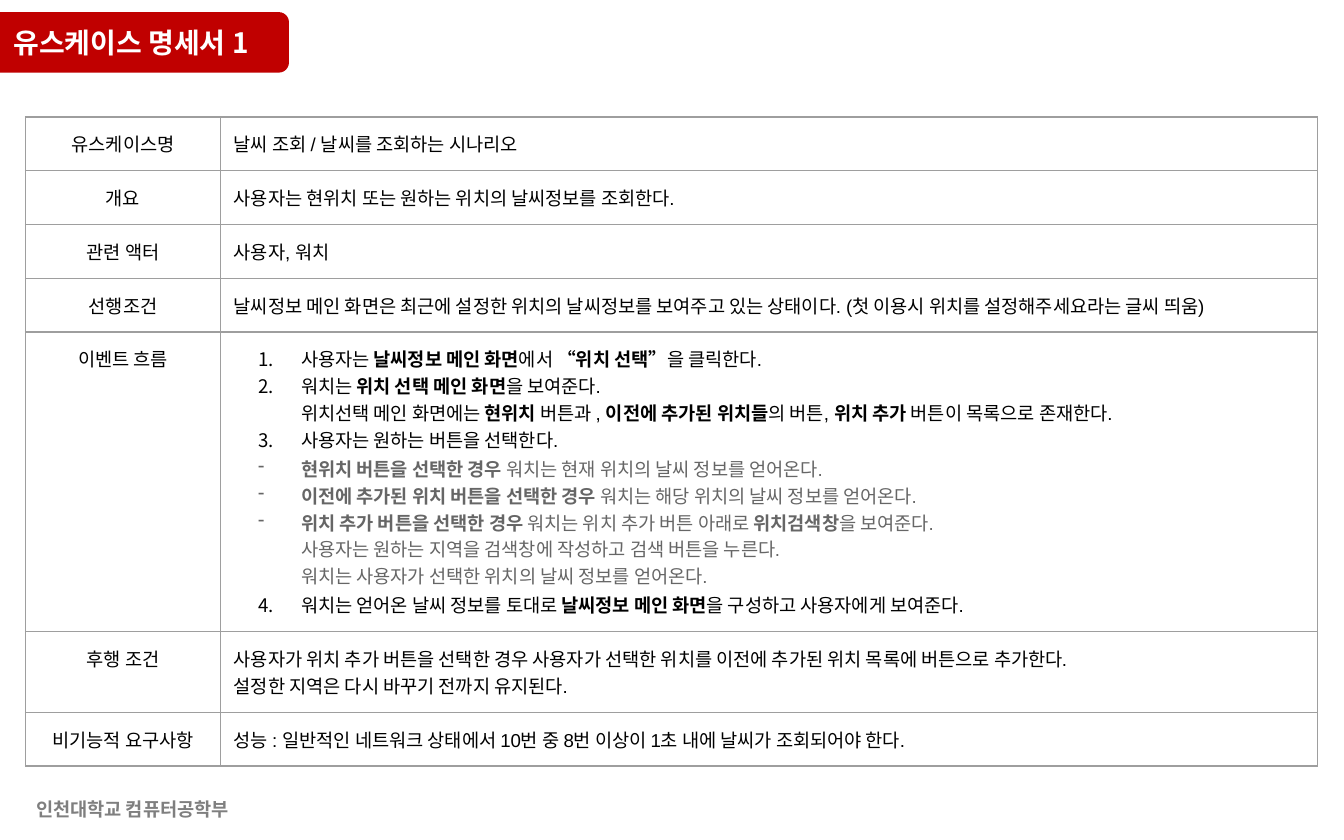
from dataclasses import dataclass

from lxml import etree
from pptx import Presentation
from pptx import util as u
from pptx.dml import color
from pptx.enum import shapes, text
from pptx.oxml import ns

COLORS = {
    "banner": "C00000",
    "white": "FFFFFF",
    "black": "000000",
    "detail": "666666",
    "footer": "7F7F7F",
    "border": "9E9E9E",
}
KOREAN_FONT = "Noto Sans CJK KR"
TABLE_FONT = "Arial"
LEFT, CENTER = text.PP_ALIGN.LEFT, text.PP_ALIGN.CENTER


@dataclass
class Line:
    """One paragraph; words between ** are bold."""
    words: str
    bullet: str = ""
    number: int = 0
    indent: float = 0
    color: str = "black"
    before: float = 0


@dataclass
class Entry:
    label: str
    lines: list[Line]
    height: float = 0.4


def step(number: int, words: str, before: float = 0) -> Line:
    return Line(words, number=number, indent=0.5, before=before)


def detail(words: str, bullet: str = "", before: float = 0) -> Line:
    return Line(words, bullet=bullet, indent=0.5, color="detail", before=before)


# Use case content
ENTRIES = [
    Entry("유스케이스명", [Line("날씨 조회 / 날씨를 조회하는 시나리오")]),
    Entry("개요", [Line("사용자는 현위치 또는 원하는 위치의 날씨정보를 조회한다.")]),
    Entry("관련 액터", [Line("사용자, 워치")]),
    Entry("선행조건", [Line("날씨정보 메인 화면은 최근에 설정한 위치의 날씨정보를 보여주고 있는 상태이다. "
                        "(첫 이용시 위치를 설정해주세요라는 글씨 띄움)")]),
    Entry("이벤트 흐름", [
        step(1, "사용자는 **날씨정보 메인 화면**에서 **“위치 선택”**을 클릭한다."),
        step(2, "워치는 **위치 선택 메인 화면**을 보여준다."),
        Line("위치선택 메인 화면에는 **현위치** 버튼과 , **이전에 추가된 위치들**의 버튼, "
             "**위치 추가** 버튼이 목록으로 존재한다.", indent=0.5),
        step(3, "사용자는 원하는 버튼을 선택한다."),
        detail("**현위치 버튼을 선택한 경우 **워치는 현재 위치의 날씨 정보를 얻어온다.", "-", before=1),
        detail("**이전에 추가된 위치 버튼을 선택한 경우 **워치는 해당 위치의 날씨 정보를 얻어온다.", "-"),
        detail("**위치 추가 버튼을 선택한 경우 **워치는 위치 추가 버튼 아래로 **위치검색창**을 보여준다.", "-"),
        detail("사용자는 원하는 지역을 검색창에 작성하고 검색 버튼을 누른다."),
        detail("워치는 사용자가 선택한 위치의 날씨 정보를 얻어온다."),
        step(4, "워치는 얻어온 날씨 정보를 토대로 **날씨정보 메인 화면**을 구성하고 "
                "사용자에게 보여준다.", before=1),
    ], 2.23),
    Entry("후행 조건", [
        Line("사용자가 위치 추가 버튼을 선택한 경우 사용자가 선택한 위치를 "
             "이전에 추가된 위치 목록에 버튼으로 추가한다."),
        Line("설정한 지역은 다시 바꾸기 전까지 유지된다."),
    ], 0.6),
    Entry("비기능적 요구사항", [Line("성능 : 일반적인 네트워크 상태에서 10번 중 8번 이상이 "
                             "1초 내에 날씨가 조회되어야 한다.")]),
]


def rgb(name: str) -> color.RGBColor:
    return color.RGBColor.from_string(COLORS[name])


def add_xml(parent, tag: str, **attributes: str):
    return etree.SubElement(parent, ns.qn(tag), attributes)


def write(frame, lines: list[Line], *, size: float = 10, font: str = TABLE_FONT,
          align=LEFT) -> None:
    for index, line in enumerate(lines):
        paragraph = frame.paragraphs[0] if index == 0 else frame.add_paragraph()
        paragraph.alignment = align
        paragraph.space_before = u.Pt(line.before)
        # Indents and bullets
        properties = paragraph._p.get_or_add_pPr()
        listed = bool(line.bullet or line.number)
        properties.set("marL", str(u.Inches(line.indent)))
        properties.set("indent", str(u.Inches(-0.32 if listed else 0)))
        if listed:
            add_xml(add_xml(properties, "a:buClr"), "a:srgbClr", val=COLORS[line.color])
        if line.number:
            add_xml(properties, "a:buAutoNum", type="arabicPeriod", startAt=str(line.number))
        elif line.bullet:
            add_xml(properties, "a:buChar", char=line.bullet)
        # Regular and bold parts alternate
        for part, words in enumerate(line.words.split("**")):
            if not words:
                continue
            run = paragraph.add_run()
            run.text = words
            run.font.size = u.Pt(size)
            run.font.bold = part % 2 == 1
            run.font.color.rgb = rgb(line.color)
            run.font.name = font
            run_properties = run._r.get_or_add_rPr()
            run_properties.set("kern", "0")
            add_xml(run_properties, "a:ea", typeface=KOREAN_FONT)


def set_insets(holder, side: float, top: float) -> None:
    holder.margin_left = holder.margin_right = u.Inches(side)
    holder.margin_top = holder.margin_bottom = u.Inches(top)


def fill_cell(cell, lines: list[Line], align) -> None:
    set_insets(cell, 0.1, 0.1)
    write(cell.text_frame, lines, align=align)
    properties = cell._tc.get_or_add_tcPr()
    for side in ("a:lnL", "a:lnR", "a:lnT", "a:lnB"):
        border = add_xml(properties, side, w=str(u.Pt(0.75)))
        add_xml(add_xml(border, "a:solidFill"), "a:srgbClr", val=COLORS["border"])
    cell.fill.background()


def place(shape, left: float, top: float, width: float, height: float) -> None:
    shape.left, shape.top = u.Inches(left), u.Inches(top)
    shape.width, shape.height = u.Inches(width), u.Inches(height)


deck = Presentation()
deck.slide_width, deck.slide_height = u.Inches(10), u.Inches(6.25)
slide = deck.slides.add_slide(deck.slide_layouts[5])

# Heading banner
banner = slide.shapes.add_shape(shapes.MSO_SHAPE.ROUNDED_RECTANGLE, u.Inches(-0.16),
                                u.Inches(0.09), u.Inches(2.31), u.Inches(0.45))
banner.shadow.inherit = False
banner.fill.solid()
banner.fill.fore_color.rgb = rgb("banner")
banner.line.fill.background()

# Department line
department = slide.shapes.add_textbox(u.Inches(0), u.Inches(5.89), u.Inches(1.97), u.Inches(0.27))
department.text_frame.word_wrap = True
set_insets(department.text_frame, 0.1, 0.05)
write(department.text_frame, [Line("**인천대학교 컴퓨터공학부**", color="footer")],
      font=KOREAN_FONT, align=CENTER)

# Use case table
use_case = slide.shapes.add_table(len(ENTRIES), 2, u.Inches(0.19), u.Inches(0.87), u.Inches(9.61),
                                  u.Inches(sum(entry.height for entry in ENTRIES))).table
use_case.first_row = use_case.horz_banding = False
for column, width in zip(use_case.columns, (1.45, 8.16)):
    column.width = u.Inches(width)
for row, entry in zip(use_case.rows, ENTRIES):
    row.height = u.Inches(entry.height)
    fill_cell(row.cells[0], [Line(entry.label)], CENTER)
    fill_cell(row.cells[1], entry.lines, LEFT)

# Title, brought in front of its banner
title = slide.shapes.title
place(title, 0, 0.09, 2.23, 0.27)
set_insets(title.text_frame, 0.1, 0.1)
title.text_frame.word_wrap = True
title.text_frame.auto_size = text.MSO_AUTO_SIZE.NONE
title.text_frame.vertical_anchor = text.MSO_ANCHOR.TOP
write(title.text_frame, [Line("**유스케이스 명세서 1**", color="white")], size=15, font=KOREAN_FONT)
banner._element.addnext(title._element)

deck.save("out.pptx")
